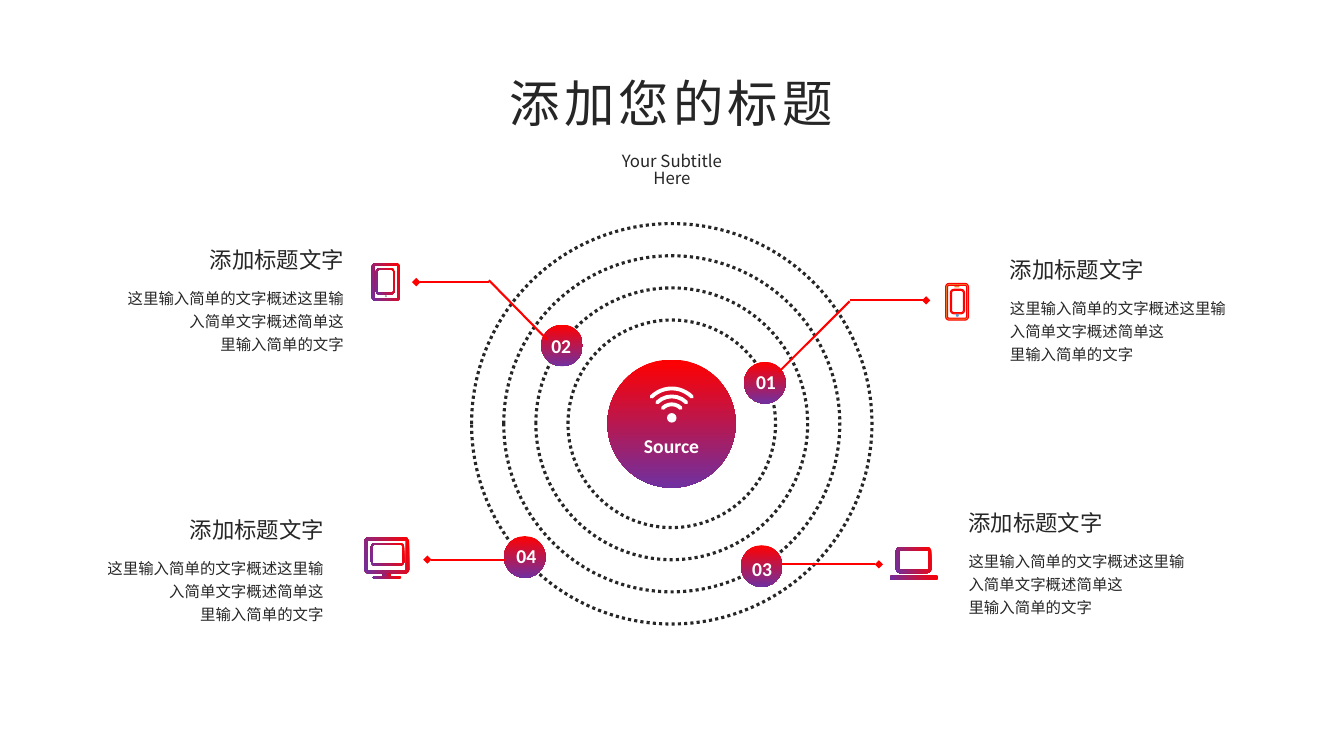
import math
import pptx
import pptx.util
import pptx.dml.color
import pptx.enum.dml
import pptx.enum.shapes
import pptx.enum.text
import lxml.etree

Cm, Pt = pptx.util.Cm, pptx.util.Pt
SHAPE = pptx.enum.shapes.MSO_SHAPE
ALIGN = pptx.enum.text.PP_ALIGN
NS = "{http://schemas.openxmlformats.org/drawingml/2006/main}"
RED, PLUM, DARK, WHITE = "FF0000", "7030A0", "262626", "FFFFFF"
ORANGE, GREY, BLUE = "ED7D31", "A5A5A5", "5B9BD5"
HAN = "Noto Sans CJK SC"
color = pptx.dml.color.RGBColor.from_string

deck = pptx.Presentation()
deck.slide_width, deck.slide_height = Cm(33.87), Cm(19.05)
shapes = deck.slides.add_slide(deck.slide_layouts[6]).shapes


def paint(shape, fill=None, line=None, width=0.75, angle=270):
    shape.shadow.inherit = False
    if fill == "blend":
        shape.fill.gradient()
        shape.fill.gradient_angle = angle
        for stop, tint in zip(shape.fill.gradient_stops, (RED, PLUM)):
            stop.color.rgb = color(tint)
    elif fill:
        shape.fill.solid()
        shape.fill.fore_color.rgb = color(fill)
    else:
        shape.fill.background()
    if line:
        shape.line.color.rgb = color(line)
        shape.line.width = Pt(width)
    else:
        shape.line.fill.background()


def write(x, y, w, h, lines, size, font=HAN, tint=DARK, align=ALIGN.LEFT,
          space=1.0, bold=False, wrap=True, track=0):
    frame = shapes.add_textbox(Cm(x), Cm(y), Cm(w), Cm(h)).text_frame
    frame.word_wrap = wrap
    frame.text = "\n".join(lines)
    for par in frame.paragraphs:
        par.alignment = align
        par.line_spacing = space
        for run in par.runs:
            run.font.name = font
            run.font.size = Pt(size)
            run.font.bold = bold
            run.font.color.rgb = color(tint)
            props = run.font._element
            lxml.etree.SubElement(props, NS + "ea", typeface=font)
            if track:
                props.set("spc", str(track * 100))


mid_x, mid_y = 16.93, 10.68
hub = shapes.add_shape(SHAPE.OVAL, Cm(mid_x - 1.62), Cm(mid_y - 1.62), Cm(3.23), Cm(3.23))
paint(hub, "blend")
for step in range(4):
    wide = 5.23 + 1.62 * step
    orbit = shapes.add_shape(SHAPE.OVAL, Cm(mid_x - wide / 2), Cm(mid_y - wide / 2), Cm(wide), Cm(wide))
    paint(orbit, line=DARK, width=2.25)
    orbit.line.dash_style = pptx.enum.dml.MSO_LINE.ROUND_DOT

marks = [("01", 18.75, 9.12, 18.77, 9.19), ("02", 13.64, 8.18, 13.61, 8.28),
         ("03", 18.67, 13.74, 18.67, 13.92), ("04", 12.7, 13.51, 12.73, 13.59)]
for label, x, y, left, top in marks:
    paint(shapes.add_shape(SHAPE.OVAL, Cm(x), Cm(y), Cm(1.05), Cm(1.05)), "blend")
    write(left, top, 1.07, 0.86, [label], 14, "Calibri", WHITE, ALIGN.CENTER, bold=True, wrap=False)

paint(shapes.add_shape(SHAPE.OVAL, Cm(16.81), Cm(10.41), Cm(0.24), Cm(0.24)), WHITE)
for reach in (0.32, 0.52, 0.72):
    wave = shapes.add_shape(SHAPE.ARC, Cm(mid_x - reach), Cm(10.51 - reach), Cm(2 * reach), Cm(2 * reach))
    wave.adjustments[0], wave.adjustments[1] = 225 * 0.6, 315 * 0.6
    paint(wave, line=WHITE, width=2.75)
    wave.line._get_or_add_ln().set("cap", "rnd")
write(15.82, 10.82, 2.21, 0.86, ["Source"], 14, "Calibri", WHITE, ALIGN.CENTER, bold=True, wrap=False)

links = [(19.63, 9.37, 21.41, 7.59, False), (21.41, 7.57, 23.34, 7.57, True),
         (13.79, 8.56, 12.32, 7.06, False), (12.32, 7.11, 10.49, 7.11, True),
         (12.75, 14.1, 10.77, 14.1, True), (19.71, 14.22, 22.15, 14.22, True)]
for x1, y1, x2, y2, tip in links:
    link = shapes.add_connector(pptx.enum.shapes.MSO_CONNECTOR.STRAIGHT, Cm(x1), Cm(y1), Cm(x2), Cm(y2))
    link.line.color.rgb = color(RED)
    link.line.width = Pt(1.5)
    if tip:
        lxml.etree.SubElement(link.line._get_or_add_ln(), NS + "tailEnd", type="diamond")
    lxml.etree.SubElement(link._element.spPr, NS + "effectLst")

phone = [(23.83, 7.14, 0.58, 0.93, 0.05, ORANGE, RED), (23.95, 7.29, 0.36, 0.62, 0.03, ORANGE, RED),
         (24.05, 7.21, 0.13, 0.03, 0, ORANGE, None)]
tablet = [(9.37, 6.63, 0.71, 0.95, 0.06, "blend", None), (9.47, 6.76, 0.48, 0.66, 0.04, "blend", None)]
screen = [(9.35, 13.69, 0.84, 0.56, 0.04, "blend", None), (9.19, 13.54, 1.12, 0.91, 0.08, "blend", None),
          (9.65, 14.45, 0.2, 0.08, 0, "blend", None), (9.4, 14.52, 0.71, 0.06, 0, "blend", None)]
laptop = [(22.58, 13.79, 0.89, 0.65, 0.08, "blend", None), (22.43, 14.5, 1.22, 0.11, 0, "blend", None)]
for x, y, w, h, thick, fill, line in phone + tablet + screen + laptop:
    loops = []
    for inset in sorted({0, thick}):
        curve = min(0.09 - inset, h / 2 - inset)
        dx, dy = w / 2 - inset - curve, h / 2 - inset - curve
        loop = []
        for sx, sy, start in [(1, 1, 0), (-1, 1, 90), (-1, -1, 180), (1, -1, 270)]:
            for turn in range(start, start + 91, 30):
                angle = math.radians(turn)
                loop.append((Cm(x + w / 2 + sx * dx + curve * math.cos(angle)),
                             Cm(y + h / 2 + sy * dy + curve * math.sin(angle))))
        loops.append(loop)
    pen = shapes.build_freeform(*loops[0][0])
    for loop in loops:
        pen.move_to(*loop[0])
        pen.add_line_segments(loop[1:], close=True)
    paint(pen.convert_to_shape(), fill, line, angle=198)
for x, y, fill, line in [(24.1, 7.92, ORANGE, BLUE), (9.7, 7.44, GREY, None)]:
    paint(shapes.add_shape(SHAPE.OVAL, Cm(x), Cm(y), Cm(0.05), Cm(0.05)), fill, line)

body = ["这里输入简单的文字概述这里输入简单文字概述简单这", "里输入简单的文字"]
notes = [(25.2, 6.32, ALIGN.LEFT), (24.16, 12.7, ALIGN.LEFT),
         (8.41, 12.88, ALIGN.RIGHT), (8.92, 6.07, ALIGN.RIGHT)]
for edge, top, align in notes:
    back = 1 if align == ALIGN.RIGHT else 0
    write(edge - 4.65 * back, top, 4.65, 1.02, ["添加标题文字"], 16, align=align)
    write(edge - 6.07 * back, top + 0.98, 6.07, 2.29, body, 11, align=align, space=1.24)
write(6.78, 1.96, 20.29, 1.8, ["添加您的标题"], 36, align=ALIGN.CENTER, space=0.83, track=3)
write(14.94, 3.76, 3.99, 0.76, ["Your Subtitle Here"], 12, align=ALIGN.CENTER, space=0.83)

deck.save("out.pptx")
